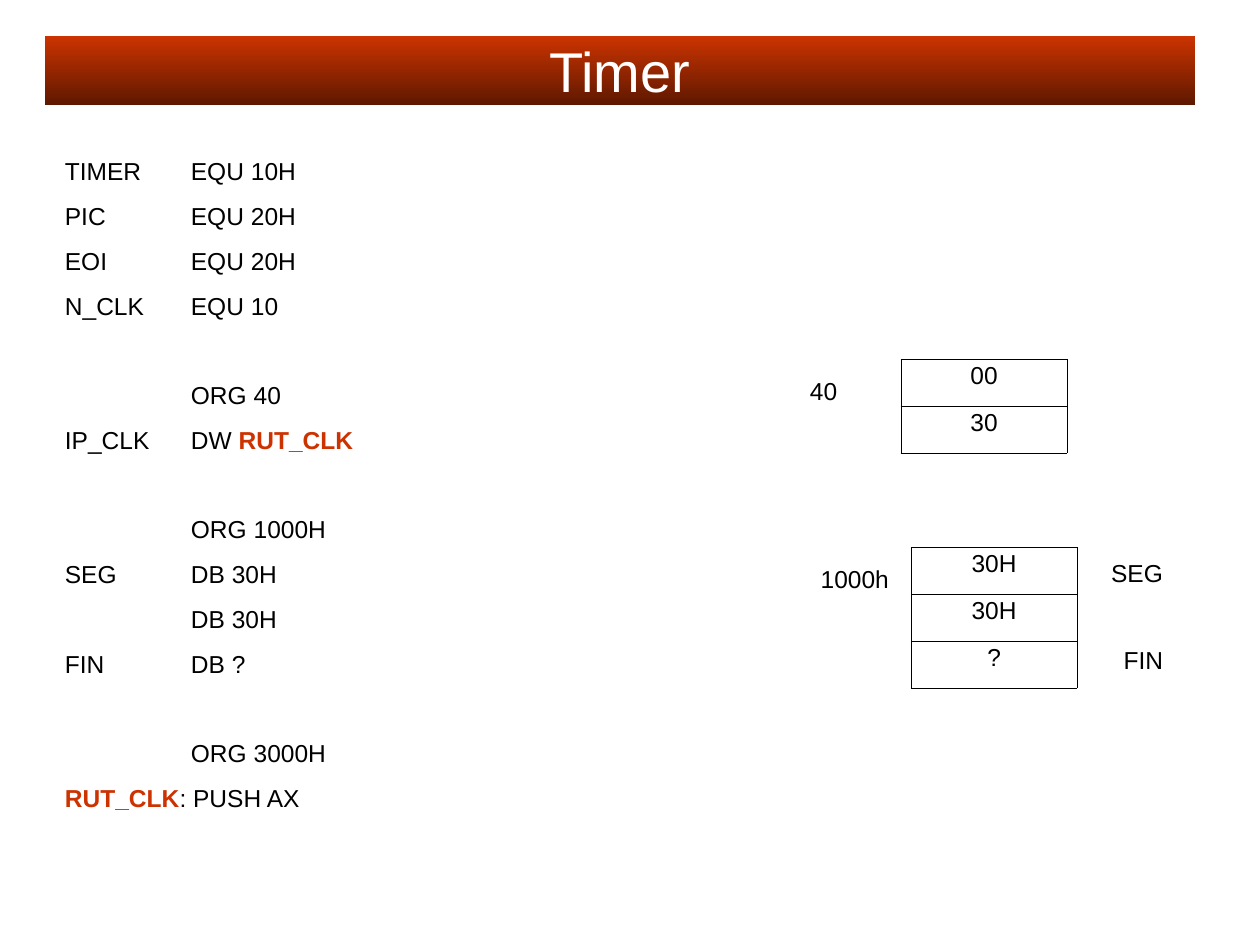
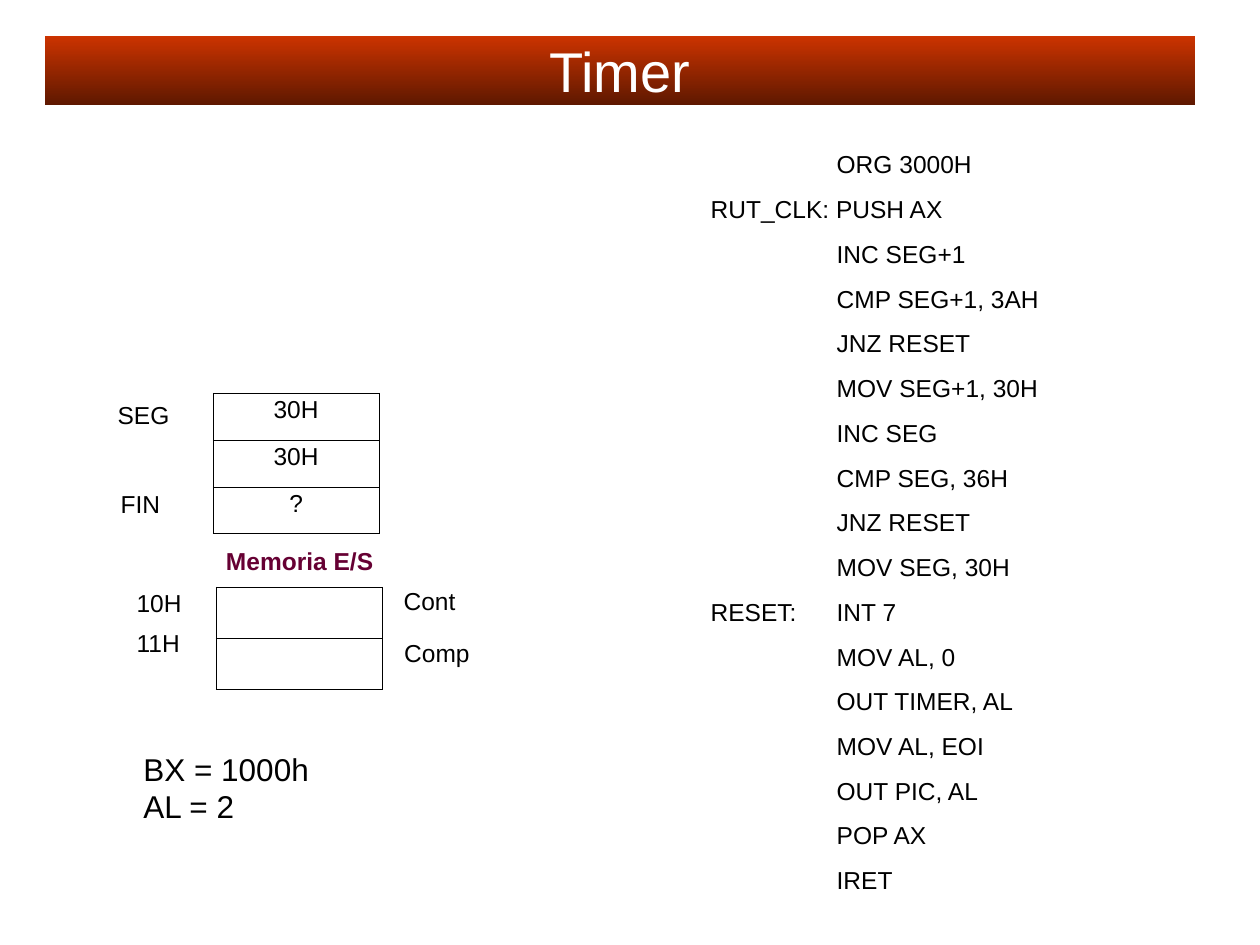
"""Build two slides on a timer's interrupt routine and its memory map."""
import dataclasses

import lxml.etree
import pptx
import pptx.dml.color
import pptx.enum.text
import pptx.oxml.ns
import pptx.util


@dataclasses.dataclass(frozen=True)
class Theme:
    face: str = "Arial"
    black: str = "000000"
    white: str = "FFFFFF"
    red: str = "CC3300"
    dark: str = "5E1800"
    plum: str = "660033"
    head: int = 32
    note: int = 18
    text: int = 14
    gap: float = 8.75
    pitch: float = 25.6
    rule: float = 0.23


theme = Theme()
rgb = pptx.dml.color.RGBColor.from_string
qn = pptx.oxml.ns.qn
Pt = pptx.util.Pt
align = pptx.enum.text.PP_ALIGN
fit = pptx.enum.text.MSO_AUTO_SIZE
anchor = pptx.enum.text.MSO_ANCHOR

deck = pptx.Presentation()
deck.slide_width = pptx.util.Inches(10)
deck.slide_height = pptx.util.Inches(7.5)
COLS, ROWS = 100, 75
BAND = (3.55, 2.85, 91.3, 5.5)
CELL = (13.2, 3.72)


def place(left, top, wide, high):
    """Turn grid columns and rows into slide lengths."""
    col, row = deck.slide_width / COLS, deck.slide_height / ROWS
    return [round(n) for n in (left * col, top * row, wide * col, high * row)]


def write(para, text, size=theme.text, ink=theme.black, bold=False):
    """Add one run of text to a paragraph."""
    run = para.add_run()
    run.text = text
    look = {"name": theme.face, "size": Pt(size), "bold": bold}
    for key, value in look.items():
        setattr(run.font, key, value)
    run.font.color.rgb = rgb(ink)


setup = [
    ["TIMER\tEQU 10H", "PIC\tEQU 20H", "EOI\tEQU 20H", "N_CLK\tEQU 10"],
    ["\tORG 40", "IP_CLK\tDW *RUT_CLK*"],
    ["\tORG 1000H", "SEG\tDB 30H", "\tDB 30H", "FIN\tDB ?"],
    ["\tORG 3000H", "*RUT_CLK*: PUSH AX"],
]
routine = [[
    "\tORG 3000H", "RUT_CLK: PUSH AX", "\tINC SEG+1", "\tCMP SEG+1, 3AH",
    "\tJNZ RESET", "\tMOV SEG+1, 30H", "\tINC SEG", "\tCMP SEG, 36H",
    "\tJNZ RESET", "\tMOV SEG, 30H", "RESET:\tINT 7", "\tMOV AL, 0",
    "\tOUT TIMER, AL", "\tMOV AL, EOI", "\tOUT PIC, AL", "\tPOP AX", "\tIRET",
]]
clock = ["30H", "30H", "?"]
plain = {}
pages = [
    {
        "code": setup,
        "area": (4.15, 11.9, 35.6, 53),
        "grids": [(71.5, 28.5, ["00", "30"]), (72.3, 43.45, clock)],
        "labels": [
            ("40", 63.3, 29.35, 4.4, plain),
            ("1000h", 64.15, 44.3, 7.6, plain),
            ("FIN", 88.2, 50.7, 5.4, plain),
            ("SEG", 87.2, 43.8, 6.3, plain),
        ],
    },
    {
        "code": routine,
        "area": (55.4, 11.35, 35.5, 60.2),
        "grids": [(16.9, 31.2, clock), (17.15, 46.6, ["", ""])],
        "labels": [
            ("SEG", 8.35, 31.25, 6.3, plain),
            ("FIN", 8.6, 38.3, 5.4, plain),
            ("10H", 9.85, 46.2, 5.8, plain),
            ("11H", 9.85, 49.35, 5.8, plain),
            ("Cont", 31.05, 46, 6.3, plain),
            ("Comp", 31.1, 50.15, 7.4, plain),
            ("Memoria E/S", 16.95, 42.85, 13.9, {"ink": theme.plum, "bold": True}),
            ("BX = 1000h\nAL = 2", 10.4, 59, 15.4, {"size": theme.note}),
        ],
    },
]

for page in pages:
    slide = deck.slides.add_slide(deck.slide_layouts[1])
    title, body = slide.shapes.title, slide.placeholders[1]
    for shape, area in ((title, BAND), (body, page["area"])):
        shape.left, shape.top, shape.width, shape.height = place(*area)
        shape.text_frame.auto_size = fit.NONE
        shape.text_frame.word_wrap = True

    title.fill.gradient()
    title.fill.gradient_angle = 270
    for stop, ink in zip(title.fill.gradient_stops, (theme.red, theme.dark)):
        stop.color.rgb = rgb(ink)
    title.text_frame.vertical_anchor = anchor.MIDDLE
    para = title.text_frame.paragraphs[0]
    para.alignment = align.CENTER
    write(para, "Timer", theme.head, theme.white)

    frame = body.text_frame
    frame.vertical_anchor = anchor.TOP
    para = None
    for block in page["code"]:
        for step, line in enumerate(block):
            first = para is None
            para = frame.paragraphs[0] if first else frame.add_paragraph()
            props = para._p.get_or_add_pPr()
            stops = [place(10 * n, 0, 0, 0)[0] for n in range(8)]
            for key, value in {"marL": 0, "indent": 0, "defTabSz": stops[1]}.items():
                props.set(key, str(value))
            lxml.etree.SubElement(props, qn("a:buNone"))
            tabs = lxml.etree.SubElement(props, qn("a:tabLst"))
            for stop in stops:
                lxml.etree.SubElement(tabs, qn("a:tab"), pos=str(stop), algn="l")
            space = theme.gap + (0 if step else theme.pitch)
            para.space_before = Pt(0 if first else space)
            for part, text in enumerate(line.split("*")):
                if text:
                    key = part % 2 == 1
                    write(para, text, ink=theme.red if key else theme.black, bold=key)

    for left, top, values in page["grids"]:
        wide, high = CELL
        area = place(left, top, wide, high * len(values))
        table = slide.shapes.add_table(len(values), 1, *area).table
        table.first_row = table.horz_banding = False
        for row, value in enumerate(values):
            cell = table.cell(row, 0)
            cell.fill.background()
            props = cell._tc.get_or_add_tcPr()
            for spot, side in enumerate("LRTB"):
                edge = lxml.etree.Element(qn("a:ln" + side), w=str(Pt(theme.rule)))
                fill = lxml.etree.SubElement(edge, qn("a:solidFill"))
                lxml.etree.SubElement(fill, qn("a:srgbClr"), val=theme.black)
                props.insert(spot, edge)
            if value:
                para = cell.text_frame.paragraphs[0]
                para.alignment = align.CENTER
                para.line_spacing = 0.87
                write(para, value)

    for text, left, top, wide, look in page["labels"]:
        lines = text.split("\n")
        high = 3.4 if len(lines) == 1 else 7
        frame = slide.shapes.add_textbox(*place(left, top, wide, high)).text_frame
        frame.word_wrap = False
        frame.auto_size = fit.SHAPE_TO_FIT_TEXT
        for row, line in enumerate(lines):
            write(frame.add_paragraph() if row else frame.paragraphs[0], line, **look)

deck.save("out.pptx")
